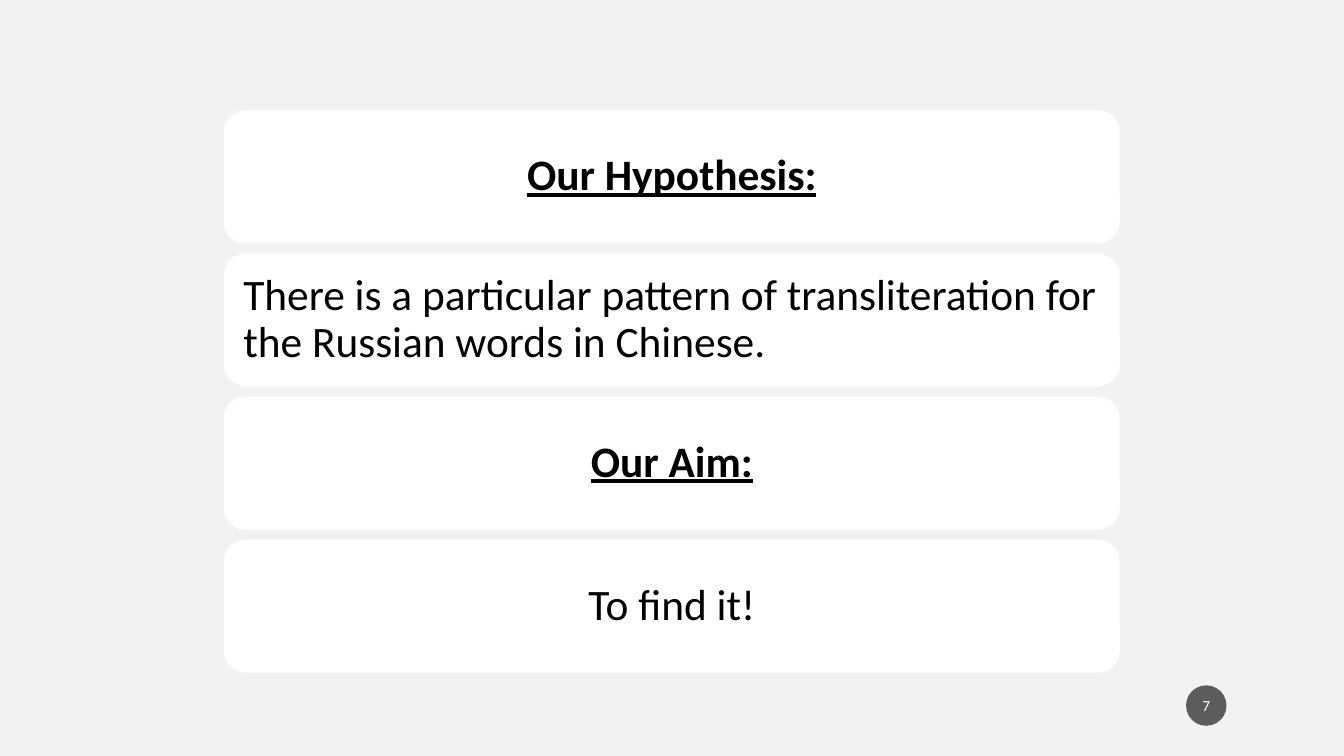
from lxml import etree
from pptx import Presentation
from pptx.dml.color import RGBColor
from pptx.enum.shapes import MSO_SHAPE
from pptx.enum.text import MSO_ANCHOR, PP_ALIGN
from pptx.oxml.ns import qn
from pptx.util import Cm, Pt

ROUNDED, OVAL = MSO_SHAPE.ROUNDED_RECTANGLE, MSO_SHAPE.OVAL
LEFT, CENTER = PP_ALIGN.LEFT, PP_ALIGN.CENTER
MIDDLE = MSO_ANCHOR.MIDDLE
FONT = "Calibri"
STATEMENTS = [
    ("Our Hypothesis:", {"bold": True, "underline": True}),
    ("There is a particular pattern of transliteration for the Russian words in Chinese.",
     {"align": LEFT}),
    ("Our Aim:", {"bold": True, "underline": True}),
    ("To find it!", {}),
]


def paint(fill, color):
    """Give a fill one solid colour."""
    fill.solid()
    fill.fore_color.rgb = RGBColor.from_string(color)


def add_panel(s, kind, x, y, w, h, color):
    """Add a flat shape without outline, in centimetres."""
    sp = s.shapes.add_shape(kind, Cm(x), Cm(y), Cm(w), Cm(h))
    sp.shadow.inherit = False
    sp.line.fill.background()
    paint(sp.fill, color)
    return sp


def set_text(sp, text, size=31, color="000000", bold=False, underline=False,
             align=CENTER, spacing=0.9, inset_x=0.33, inset_y=0.33):
    """Write one formatted paragraph into a shape."""
    tf = sp.text_frame
    tf.word_wrap = True
    tf.vertical_anchor = MIDDLE
    tf.margin_left = tf.margin_right = Cm(inset_x)
    tf.margin_top = tf.margin_bottom = Cm(inset_y)
    p = tf.paragraphs[0]
    p.alignment, p.line_spacing = align, spacing
    r = p.add_run()
    r.text = text
    font = r.font
    font.name, font.size = FONT, Pt(size)
    font.bold, font.underline = bold, underline
    paint(font.fill, color)


def add_statements(s, x, y, w, h, gap=0.25):
    """Stack the statements as equal rounded panels in the given box."""
    panel_h = (h - gap * (len(STATEMENTS) - 1)) / len(STATEMENTS)
    for i, (text, style) in enumerate(STATEMENTS):
        sp = add_panel(s, ROUNDED, x, y + i * (panel_h + gap), w, panel_h, "FFFFFF")
        set_text(sp, text, **style)


def add_page_number(s, x, y, size, number):
    """Add the slide number in a translucent dark circle."""
    sp = add_panel(s, OVAL, x, y, size, size, "1D1D1D")
    color = sp.fill._xPr.find(qn("a:solidFill"))[0]
    etree.SubElement(color, qn("a:alpha"), val="70000")
    set_text(sp, number, size=11, color="FFFFFF", spacing=1, inset_x=0.05, inset_y=0.13)


def main():
    """Build and save the slide."""
    prs = Presentation()
    prs.slide_width, prs.slide_height = Cm(33.87), Cm(19.05)
    s = prs.slides.add_slide(prs.slide_layouts[6])
    paint(s.background.fill, "F2F2F2")
    add_page_number(s, 29.89, 17.27, 1.02, "7")
    add_statements(s, 5.64, 2.78, 22.58, 14.17)
    prs.save("out.pptx")


if __name__ == "__main__":
    main()
